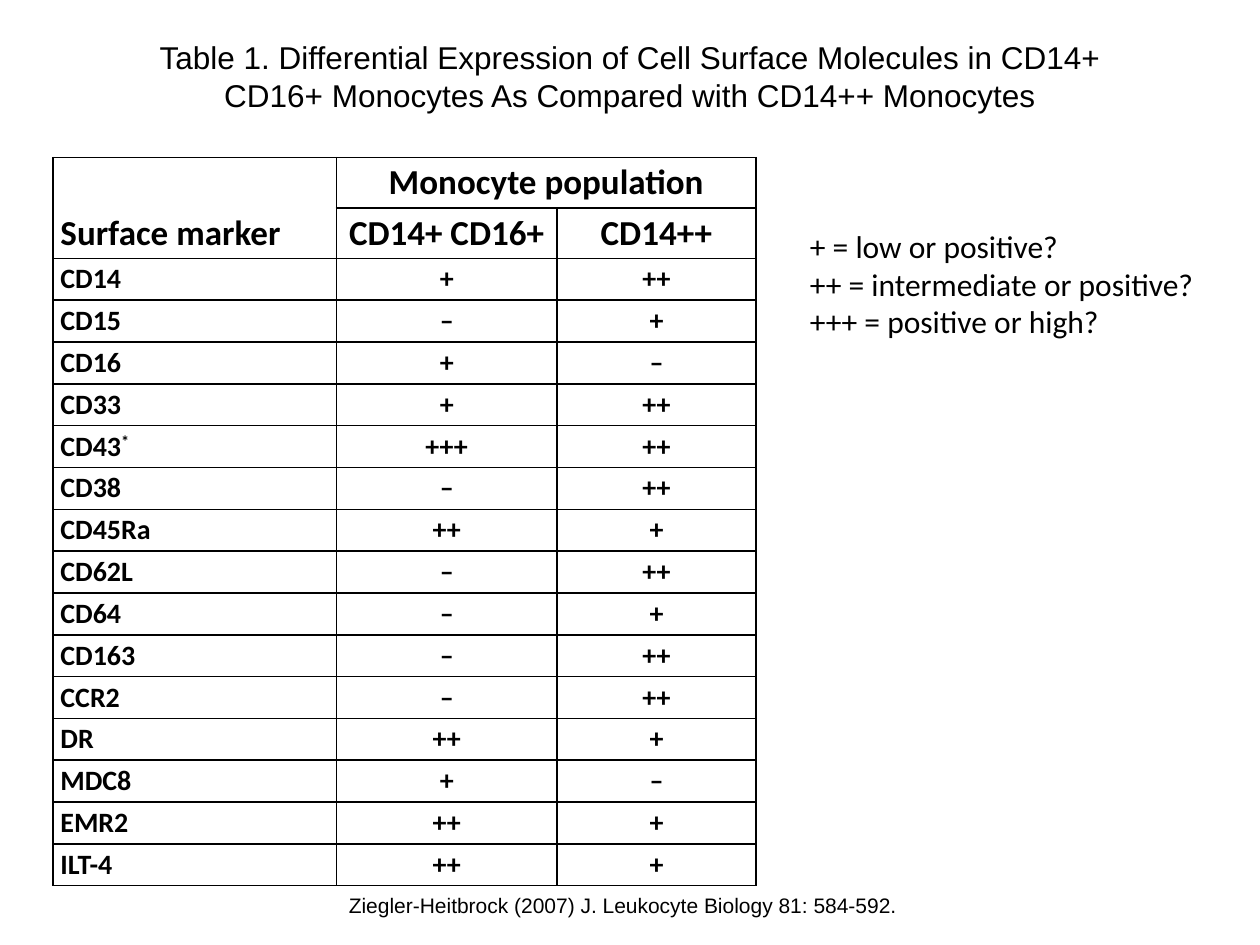
from pptx import Presentation
from pptx.dml.color import RGBColor
from pptx.enum.text import MSO_ANCHOR, PP_ALIGN
from pptx.oxml import parse_xml
from pptx.oxml.ns import nsdecls
from pptx.util import Inches, Pt

BLACK = RGBColor(0, 0, 0)
LOW, MID, HIGH, NONE = "+", "++", "+++", "–"
MARKERS = [
    ("CD14", LOW, MID), ("CD15", NONE, LOW), ("CD16", LOW, NONE),
    ("CD33", LOW, MID), ("CD43*", HIGH, MID), ("CD38", NONE, MID),
    ("CD45Ra", MID, LOW), ("CD62L", NONE, MID), ("CD64", NONE, LOW),
    ("CD163", NONE, MID), ("CCR2", NONE, MID), ("DR", MID, LOW),
    ("MDC8", LOW, NONE), ("EMR2", MID, LOW), ("ILT-4", MID, LOW),
]
HEADER = [("Surface marker", "Monocyte population", ""),
          ("", "CD14+ CD16+", "CD14++")]


def apply(obj, formats):
    """Set every attribute named in a dict of format values."""
    for name, value in formats.items():
        setattr(obj, name, value)


class SlideBuilder:
    """Holds the text style and the current slide."""

    def __init__(self, prs):
        """Add a title-only slide."""
        self.s = prs.slides.add_slide(prs.slide_layouts[5])
        self.color = BLACK

    def fill_text(self, tf, lines, font, size, bold=False, align=PP_ALIGN.LEFT):
        """Fill a text frame, one paragraph a line; a final * is raised."""
        for i, line in enumerate(lines):
            p = tf.paragraphs[0] if i == 0 else tf.add_paragraph()
            p.alignment = align
            base = line.rstrip("*")
            for text in filter(None, (base, line[len(base):])):
                r = p.add_run()
                r.text = text
                apply(r.font, {"name": font, "size": Pt(size), "bold": bold})
                r.font.color.rgb = self.color
                if text == "*":
                    r.font._element.set("baseline", "30000")

    def title(self, text, box, size):
        """Place and format the title placeholder."""
        sp = self.s.shapes.title
        apply(sp, dict(zip(("left", "top", "width", "height"), map(Inches, box))))
        apply(sp.text_frame, {"word_wrap": True, "vertical_anchor": MSO_ANCHOR.TOP})
        self.fill_text(sp.text_frame, [text], "Arial", size, align=PP_ALIGN.CENTER)

    def text(self, lines, box, font, size, anchor=MSO_ANCHOR.TOP):
        """Add a text box that does not wrap."""
        tf = self.s.shapes.add_textbox(*map(Inches, box)).text_frame
        apply(tf, {"word_wrap": False, "vertical_anchor": anchor})
        self.fill_text(tf, lines, font, size)

    def border(self, cell):
        """Draw a thin line on all four sides of a cell."""
        tcPr = cell._tc.get_or_add_tcPr()
        for i, side in enumerate(("lnL", "lnR", "lnT", "lnB")):
            tcPr.insert(i, parse_xml(
                f'<a:{side} {nsdecls("a")} w="{Pt(1)}"><a:solidFill>'
                f'<a:srgbClr val="{self.color}"/></a:solidFill></a:{side}>'))

    def table(self, header, body, left, top, widths, head_h, body_h):
        """Add the marker table with a two-row header."""
        rows = header + body
        heights = [head_h] * len(header) + [body_h] * len(body)
        table = self.s.shapes.add_table(
            len(rows), len(widths), Inches(left), Inches(top),
            Inches(sum(widths)), Inches(sum(heights))).table
        apply(table, {"first_row": False, "horz_banding": False})
        for column, width in zip(table.columns, widths):
            column.width = Inches(width)
        for i, values in enumerate(rows):
            table.rows[i].height = Inches(heights[i])
            is_head = i < len(header)
            for j, value in enumerate(values):
                cell = table.cell(i, j)
                cell.fill.background()
                self.border(cell)
                apply(cell, {
                    "margin_left": Inches(0.06), "margin_right": Inches(0.06),
                    "margin_top": Inches(0.03), "margin_bottom": Inches(0.03),
                    "vertical_anchor": MSO_ANCHOR.BOTTOM if is_head else MSO_ANCHOR.TOP})
                self.fill_text(cell.text_frame, [value], "Calibri",
                               20 if is_head else 16, True,
                               PP_ALIGN.CENTER if j else PP_ALIGN.LEFT)
        table.cell(0, 0).merge(table.cell(1, 0))
        table.cell(0, 1).merge(table.cell(0, 2))


def main():
    """Build and save the slide."""
    prs = Presentation()
    apply(prs, {"slide_width": Inches(10), "slide_height": Inches(7.5)})
    slide = SlideBuilder(prs)
    slide.table(HEADER, MARKERS, 0.42, 1.25, [2.25, 1.75, 1.58], 0.4, 0.32)
    slide.title("Table 1. Differential Expression of Cell Surface Molecules in "
                "CD14+ CD16+ Monocytes As Compared with CD14++ Monocytes",
                (1, 0.25, 8, 1.01), 18)
    slide.text(["Ziegler-Heitbrock (2007) J. Leukocyte Biology 81: 584-592."],
               (2.67, 7.03, 4.63, 0.3), "Arial", 12, MSO_ANCHOR.MIDDLE)
    slide.text(["+ = low or positive?", "++ = intermediate or positive?",
                "+++ = positive or high?"],
               (6.33, 1.75, 3.28, 1.62), "Calibri", 18)
    prs.save("out.pptx")


main()
